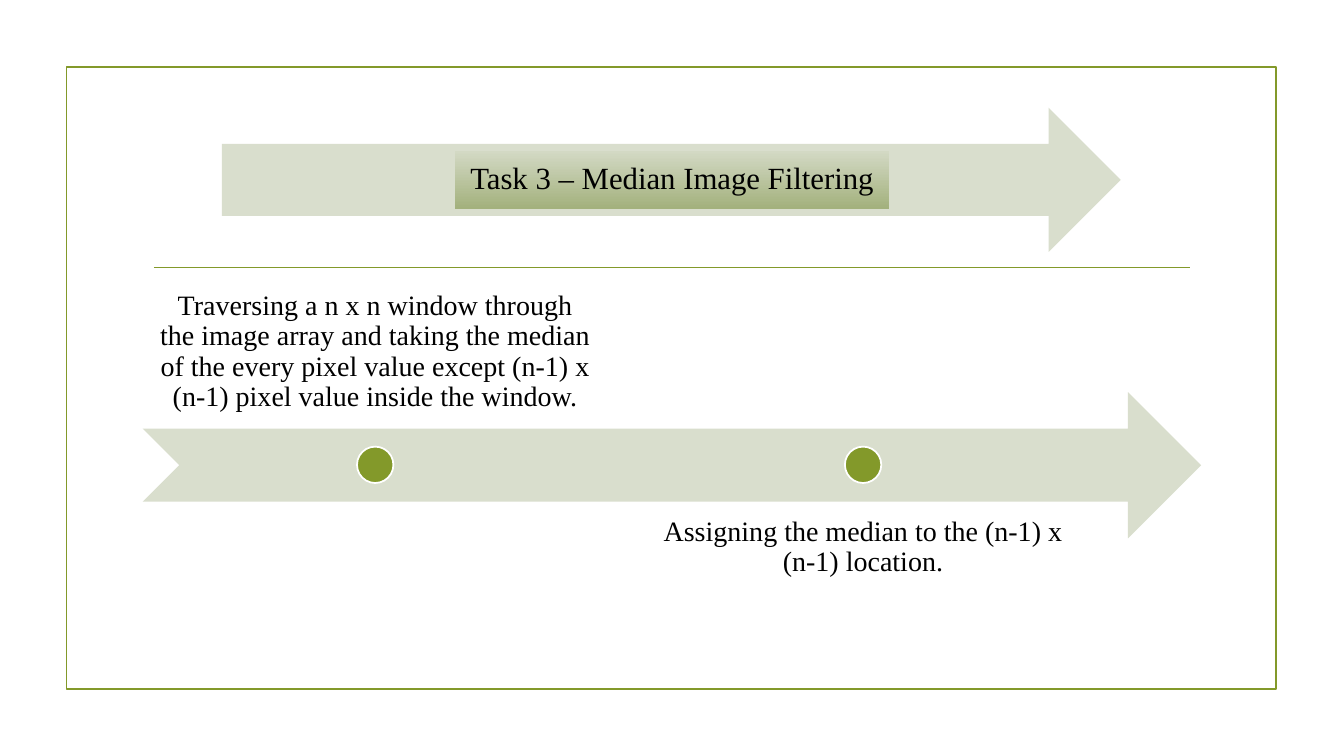
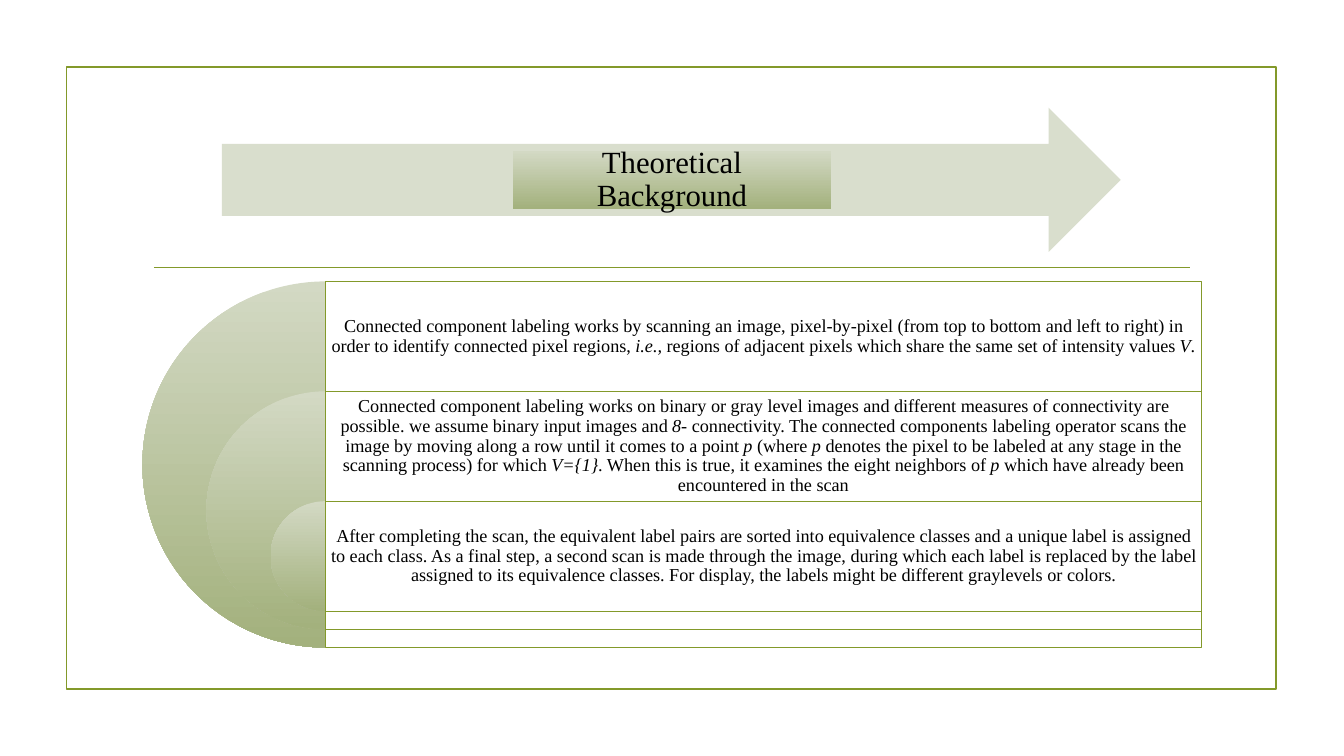
from pptx import Presentation
from pptx.dml.color import RGBColor
from pptx.enum.shapes import MSO_CONNECTOR, MSO_SHAPE
from pptx.enum.text import MSO_ANCHOR, MSO_AUTO_SIZE, PP_ALIGN
from pptx.oxml.ns import qn
from pptx.util import Pt
from lxml import etree

RECT, PIE, OVAL = MSO_SHAPE.RECTANGLE, MSO_SHAPE.PIE, MSO_SHAPE.OVAL
ARROW, NOTCHED = MSO_SHAPE.RIGHT_ARROW, MSO_SHAPE.NOTCHED_RIGHT_ARROW
TOP, MIDDLE, BOTTOM = MSO_ANCHOR.TOP, MSO_ANCHOR.MIDDLE, MSO_ANCHOR.BOTTOM


class Theme:
    font = "Times New Roman"
    title_size, caption_size, row_size = 22, 20, 13
    olive = RGBColor(0x83, 0x99, 0x2A)
    pale = RGBColor(0xD9, 0xDE, 0xCD)
    white = RGBColor(0xFF, 0xFF, 0xFF)
    black = RGBColor(0x00, 0x00, 0x00)
    gradient = (RGBColor(0xD3, 0xD9, 0xC4), RGBColor(0xA3, 0xB1, 0x7D))


def add_shape(s, kind, box, fill=None, line=None, width=1.25):
    """Add a flat shape; fill is a colour, a pair of gradient colours or None."""
    sp = s.shapes.add_shape(kind, *map(Pt, box))
    sp.shadow.inherit = False
    paint(sp, fill)
    if line is None:
        sp.line.fill.background()
    else:
        sp.line.color.rgb = line
        sp.line.width = Pt(width)
    return sp


def paint(sp, fill):
    if fill is None:
        sp.fill.background()
    elif fill is Theme.gradient:
        sp.fill.gradient()
        sp.fill.gradient_angle = 270
        for stop, color in zip(sp.fill.gradient_stops, fill):
            stop.color.rgb = color
    else:
        sp.fill.solid()
        sp.fill.fore_color.rgb = fill


def write(sp, runs, size, anchor, insets):
    """Write one centred paragraph; every second run is italic."""
    tf = sp.text_frame
    tf.word_wrap = True
    tf.auto_size = MSO_AUTO_SIZE.NONE
    tf.vertical_anchor = anchor
    tf.margin_left, tf.margin_top, tf.margin_right, tf.margin_bottom = map(Pt, insets)
    p = tf.paragraphs[0]
    p.alignment = PP_ALIGN.CENTER
    p.line_spacing = 0.9
    for i, text in enumerate(runs):
        r = p.add_run()
        r.text = text
        r.font.name = Theme.font
        r.font.size = Pt(size)
        r.font.color.rgb = Theme.black
        r.font.italic = i % 2 == 1


prs = Presentation()
prs.slide_width, prs.slide_height = Pt(960), Pt(540)
layout = prs.slide_layouts[5]
for ph in list(layout.placeholders):
    if ph.placeholder_format.idx != 0:
        ph.element.getparent().remove(ph.element)

# Slides with their titles
slides = []
for title, width in (("Task 3 – Median Image Filtering", 310), ("Theoretical Background", 227)):
    s = prs.slides.add_slide(layout)
    sp = s.shapes.title
    sp.left, sp.top, sp.width, sp.height = map(Pt, (480 - width / 2, 108, width, 41))
    geom = etree.SubElement(sp.element.spPr, qn("a:prstGeom"), prst="roundRect")
    etree.SubElement(geom, qn("a:avLst"))
    paint(sp, Theme.gradient)
    write(sp, [title], Theme.title_size, MIDDLE, (9, 0, 9, 0))
    slides.append(s)
task, background = slides

# Frame, title arrow and rule are drawn once and moved to the layout
frame = add_shape(task, RECT, (47.5, 48, 864, 444), line=Theme.olive)
title_arrow = add_shape(task, ARROW, (158.5, 77, 642, 103), Theme.pale)
rule = task.shapes.add_connector(MSO_CONNECTOR.STRAIGHT, Pt(110), Pt(191), Pt(850), Pt(191))
rule.line.color.rgb = Theme.olive
rule.line.width = Pt(1.25)
etree.SubElement(rule.element.spPr, qn("a:effectLst"))
for sp in (frame, title_arrow, rule):
    layout.shapes.element.append(sp.element)

# Timeline
LEFT, CAPTION_W, CAPTION_H, STEP, DOT = 102, 332, 104.5, 348.5, 26
add_shape(task, NOTCHED, (LEFT, 280, 756, CAPTION_H), Theme.pale)
captions = (
    ("Traversing a n x n window through the image array and taking the median of the every "
     "pixel value except (n-1) x (n-1) pixel value inside the window.", 201.5, BOTTOM),
    ("Assigning the median to the (n-1) x (n-1) location.", 358, TOP),
)
for i, (text, top, anchor) in enumerate(captions):
    x = LEFT + i * STEP
    sp = task.shapes.add_textbox(Pt(x), Pt(top), Pt(CAPTION_W), Pt(CAPTION_H))
    write(sp, [text], Theme.caption_size, anchor, (11.5,) * 4)
    add_shape(task, OVAL, (x + (CAPTION_W - DOT) / 2, 319, DOT, DOT), Theme.olive, Theme.white)

# Nested half discs with a text row each
CENTER, ROWS_TOP, ROWS_W, ROW_H, GAP, INSET = 232.5, 201, 625.5, 78.5, 13, 3.5
rows = (
    ("Connected component labeling works by scanning an image, pixel-by-pixel (from top to "
     "bottom and left to right) in order to identify connected pixel regions, ",
     "i.e.,",
     " regions of adjacent pixels which share the same set of intensity values ",
     "V",
     "."),
    ("Connected component labeling works on binary or gray level images and different measures "
     "of connectivity are possible. we assume binary input images and ",
     "8-",
     " connectivity. The connected components labeling operator scans the image by moving along "
     "a row until it comes to a point ",
     "p",
     " (where ",
     "p",
     " denotes the pixel to be labeled at any stage in the scanning process) for which ",
     "V={1}",
     ". When this is true, it examines the eight neighbors of ",
     "p",
     " which have already been encountered in the scan"),
    ("After completing the scan, the equivalent label pairs are sorted into equivalence classes "
     "and a unique label is assigned to each class. As a final step, a second scan is made "
     "through the image, during which each label is replaced by the label assigned to its "
     "equivalence classes. For display, the labels might be different graylevels or colors.",),
)
for i, runs in enumerate(rows):
    below = len(rows) - 1 - i
    top = ROWS_TOP + i * ROW_H
    size = ROW_H + below * (ROW_H + GAP)
    disc = add_shape(background, PIE, (CENTER - size / 2, top, size, size), Theme.gradient)
    disc.adjustments[0], disc.adjustments[1] = 54, 162
    panel = add_shape(background, RECT, (CENTER, top, ROWS_W, size), Theme.white, Theme.olive, 0.75)
    color = panel.element.spPr.find(qn("a:solidFill"))[0]
    etree.SubElement(color, qn("a:alpha"), val="90000")
    write(panel, runs, Theme.row_size, MIDDLE, (INSET, INSET, INSET, size - ROW_H + INSET))

prs.save("out.pptx")
